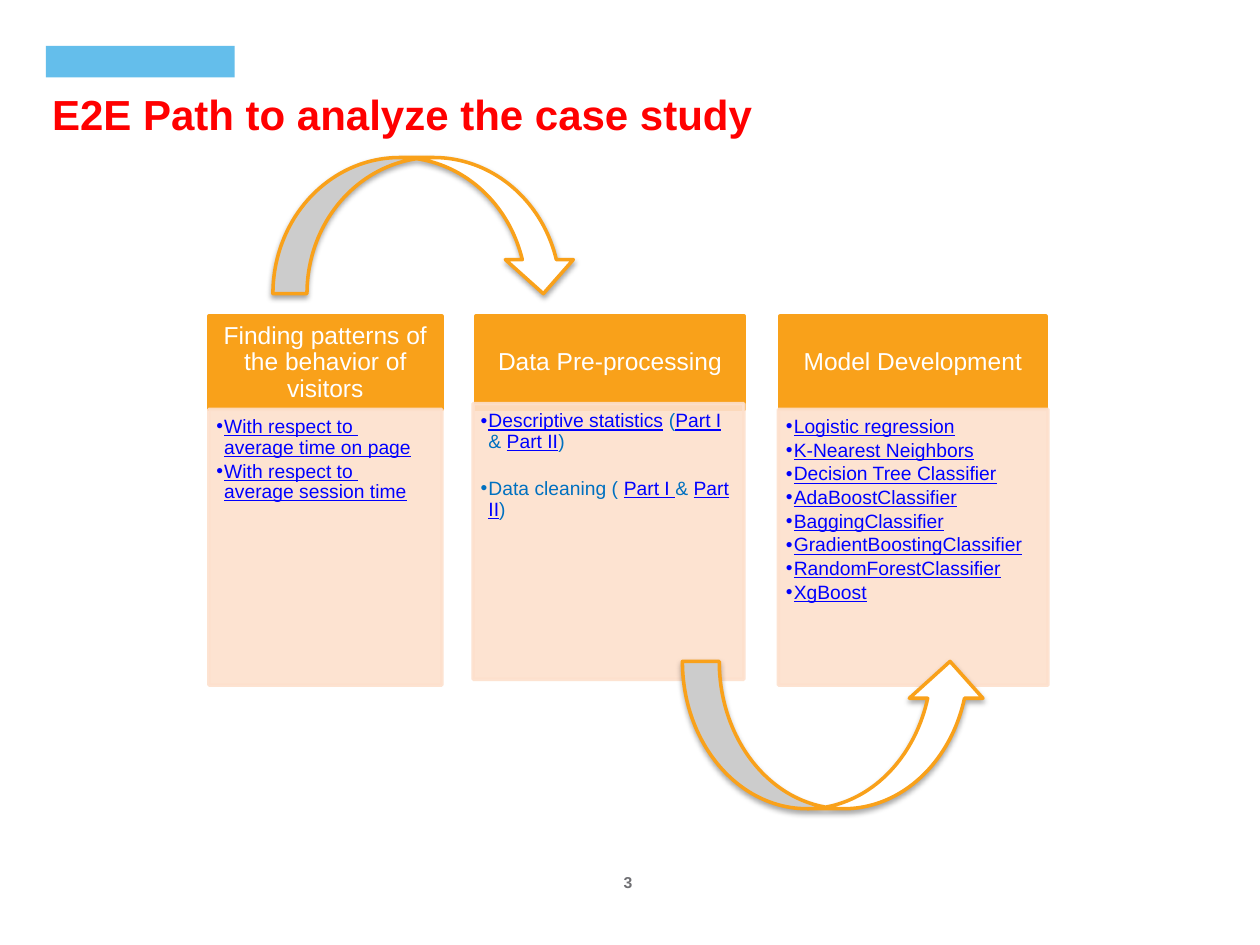
from dataclasses import dataclass, field

from lxml import etree
from pptx import Presentation
from pptx.dml.color import RGBColor
from pptx.enum.shapes import MSO_SHAPE
from pptx.enum.text import MSO_ANCHOR, PP_ALIGN
from pptx.oxml.ns import qn
from pptx.util import Pt

RECT, ARROW = MSO_SHAPE.RECTANGLE, MSO_SHAPE.CURVED_DOWN_ARROW
LEFT, CENTER = PP_ALIGN.LEFT, PP_ALIGN.CENTER
TOP, MIDDLE = MSO_ANCHOR.TOP, MSO_ANCHOR.MIDDLE

FONT = "Arial"
COLORS = {
    "accent": "64BEEB", "title": "FF0000", "number": "6F6F73",
    "orange": "F9A11A", "peach": "FDE0CD", "white": "FFFFFF",
    "link": "0000FF", "plain": "0070C0", "shadow": "000000",
}
HEADER_TOP, HEADER_H, BODY_H = 180.7, 53.3, 157.5
MARGIN = (3.6, 3.6, 3.6, 3.6)


@dataclass
class Run:
    text: str
    color: str = "link"

    @property
    def underline(self) -> bool:
        return self.color == "link"


@dataclass
class Para:
    runs: list[Run]
    before: float = 0


@dataclass
class Box:
    left: float
    top: float
    width: float
    height: float

    def lengths(self) -> list:
        return [Pt(v) for v in (self.left, self.top, self.width, self.height)]


@dataclass
class Stage:
    title: str
    header: Box
    body: Box
    items: list[Para] = field(default_factory=list)


def links(*texts: str) -> list[Para]:
    return [Para([Run(text)]) for text in texts]


def stage(title: str, left: float, width: float, body_left: float,
          body_width: float, items: list[Para], lift: float = 0) -> Stage:
    body_top = HEADER_TOP + HEADER_H - lift
    return Stage(title, Box(left, HEADER_TOP, width, HEADER_H),
                 Box(body_left, body_top, body_width, BODY_H), items)


STAGES = [
    stage("Finding patterns of the behavior of visitors", 119.3, 133.2, 119.3, 133.2,
          links("With respect to \vaverage time on page",
                "With respect to \vaverage session time")),
    stage("Data Pre-processing", 271.9, 153.4, 270.3, 154.8, [
        Para([Run("Descriptive statistics"), Run(" (", "plain"), Run("Part I"),
              Run(" & ", "plain"), Run("Part II"), Run(")", "plain")]),
        Para([Run("Data cleaning ( ", "plain"), Run("Part I "), Run("& ", "plain"),
              Run("Part II"), Run(")", "plain")], before=13.3),
    ], lift=3.3),
    stage("Model Development", 445.7, 151.9, 444.8, 154.1,
          links("Logistic regression", "K-Nearest Neighbors",
                "Decision Tree Classifier", "AdaBoostClassifier",
                "BaggingClassifier", "GradientBoostingClassifier",
                "RandomForestClassifier", "XgBoost")),
]


def rgb(name: str) -> RGBColor:
    return RGBColor.from_string(COLORS[name])


def add_alpha(color_element, percent: int) -> None:
    etree.SubElement(color_element, qn("a:alpha"), val=str(percent * 1000))


def add_shape(s, kind, box: Box, fill: str, line: str = "", opacity: int = 100):
    sp = s.shapes.add_shape(kind, *box.lengths())
    sp.shadow.inherit = False
    sp.fill.solid()
    sp.fill.fore_color.rgb = rgb(fill)
    if line:
        sp.line.color.rgb = rgb(line)
        sp.line.width = Pt(2)
        etree.SubElement(sp._element.spPr.find(qn("a:ln")), qn("a:round"))
    else:
        sp.line.fill.background()
    if opacity < 100:
        for color in sp._element.spPr.iter(qn("a:srgbClr")):
            add_alpha(color, opacity)
    return sp


def write(sp, paras: list[Para], *, size: float, bold: bool = False, align=LEFT,
          anchor=TOP, margins=MARGIN, wrap: bool = True, spacing: float = 1,
          before: float = 0, after: float = 0, bullet: bool = False) -> None:
    tf = sp.text_frame
    tf.word_wrap, tf.vertical_anchor = wrap, anchor
    tf.margin_left, tf.margin_top, tf.margin_right, tf.margin_bottom = map(Pt, margins)
    for i, para in enumerate(paras):
        p = tf.add_paragraph() if i else tf.paragraphs[0]
        p.alignment, p.line_spacing = align, spacing
        p.space_before, p.space_after = Pt(before + para.before), Pt(after)
        if bullet:
            pPr = p._p.get_or_add_pPr()
            pPr.set("marL", str(Pt(4.5)))
            pPr.set("indent", str(Pt(-4.5)))
            etree.SubElement(pPr, qn("a:buFont"), typeface=FONT)
            etree.SubElement(pPr, qn("a:buChar"), char="•")
        for run in para.runs:
            for j, text in enumerate(run.text.split("\v")):
                if j:
                    p.add_line_break()
                r = p.add_run()
                r.text = text
                r.font.name, r.font.size, r.font.bold = FONT, Pt(size), bold
                r.font.color.rgb = rgb(run.color)
                r.font.underline = run.underline


def add_stage(s, item: Stage) -> None:
    header = add_shape(s, RECT, item.header, "orange", "orange")
    write(header, [Para([Run(item.title, "white")])], size=14, align=CENTER,
          anchor=MIDDLE, margins=(8, 4.3, 8, 4.3), spacing=0.9)
    body = add_shape(s, RECT, item.body, "peach", "peach", opacity=90)
    write(body, item.items, size=11, margins=(4.3, 4.3, 6.5, 7.2),
          spacing=0.9, after=1.65, bullet=True)


def add_arrow(s, box: Box, flipped: bool = False) -> None:
    sp = add_shape(s, ARROW, box, "white", "orange")
    spPr = sp._element.spPr
    if flipped:
        spPr.find(qn("a:xfrm")).set("flipV", "1")
    shadow = etree.SubElement(spPr.find(qn("a:effectLst")), qn("a:outerShdw"),
                              blurRad=str(Pt(3)), dist=str(Pt(1.8)),
                              dir="5400000", rotWithShape="0")
    add_alpha(etree.SubElement(shadow, qn("a:srgbClr"), val=COLORS["shadow"]), 35)


def main() -> None:
    prs = Presentation()
    prs.slide_width, prs.slide_height = Pt(720), Pt(540)
    s = prs.slides.add_slide(prs.slide_layouts[6])

    # Accent bar, page number and title
    add_shape(s, RECT, Box(26.2, 26.2, 108, 18), "accent")
    number = s.shapes.add_textbox(*Box(352.4, 495.4, 13, 16.6).lengths())
    write(number, [Para([Run("3", "number")])], size=9, bold=True,
          align=CENTER, wrap=False)
    title = s.shapes.add_textbox(*Box(26.2, 46.8, 628.6, 43.2).lengths())
    write(title, [Para([Run("E2E Path to analyze the case study", "title")])],
          size=24, bold=True, before=5)

    # Three stages
    for item in STAGES:
        add_stage(s, item)

    # Arrows from stage to stage
    add_arrow(s, Box(156, 90, 174, 77.8))
    add_arrow(s, Box(390, 378, 174, 84.2), flipped=True)

    prs.save("out.pptx")


if __name__ == "__main__":
    main()
